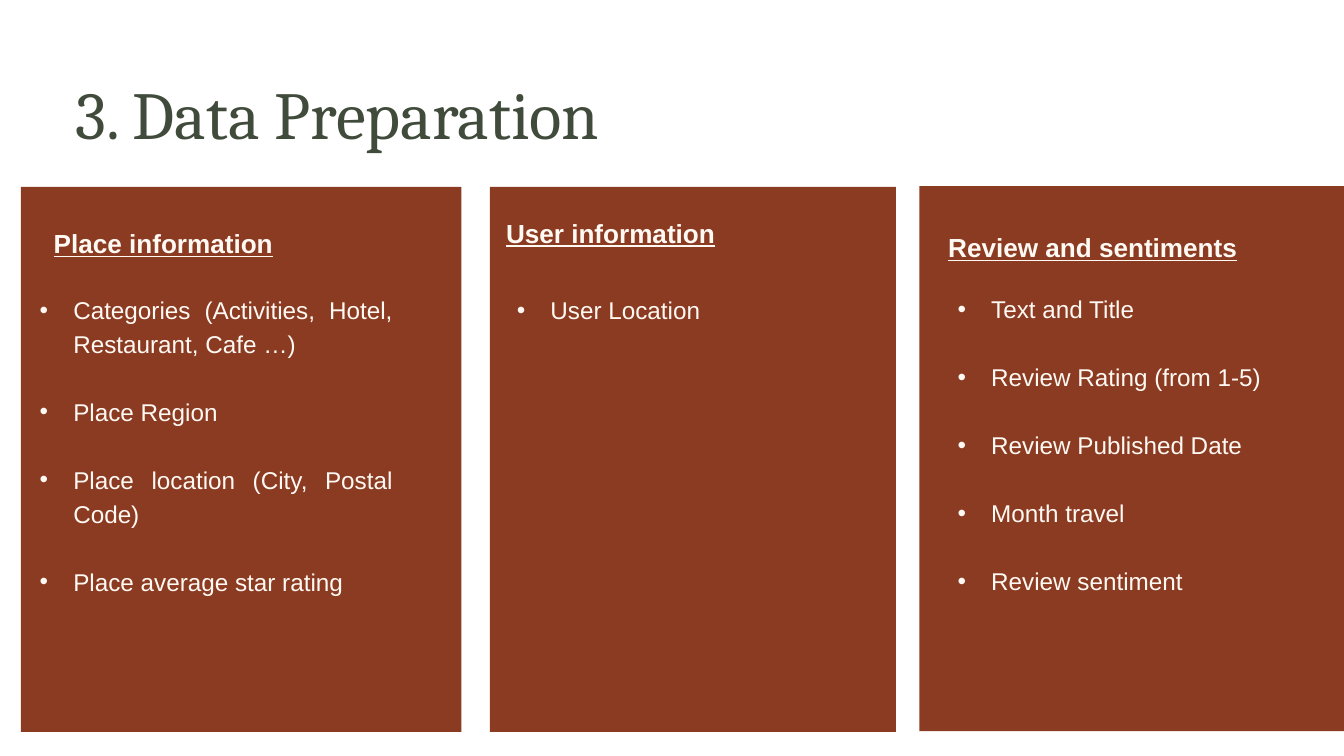
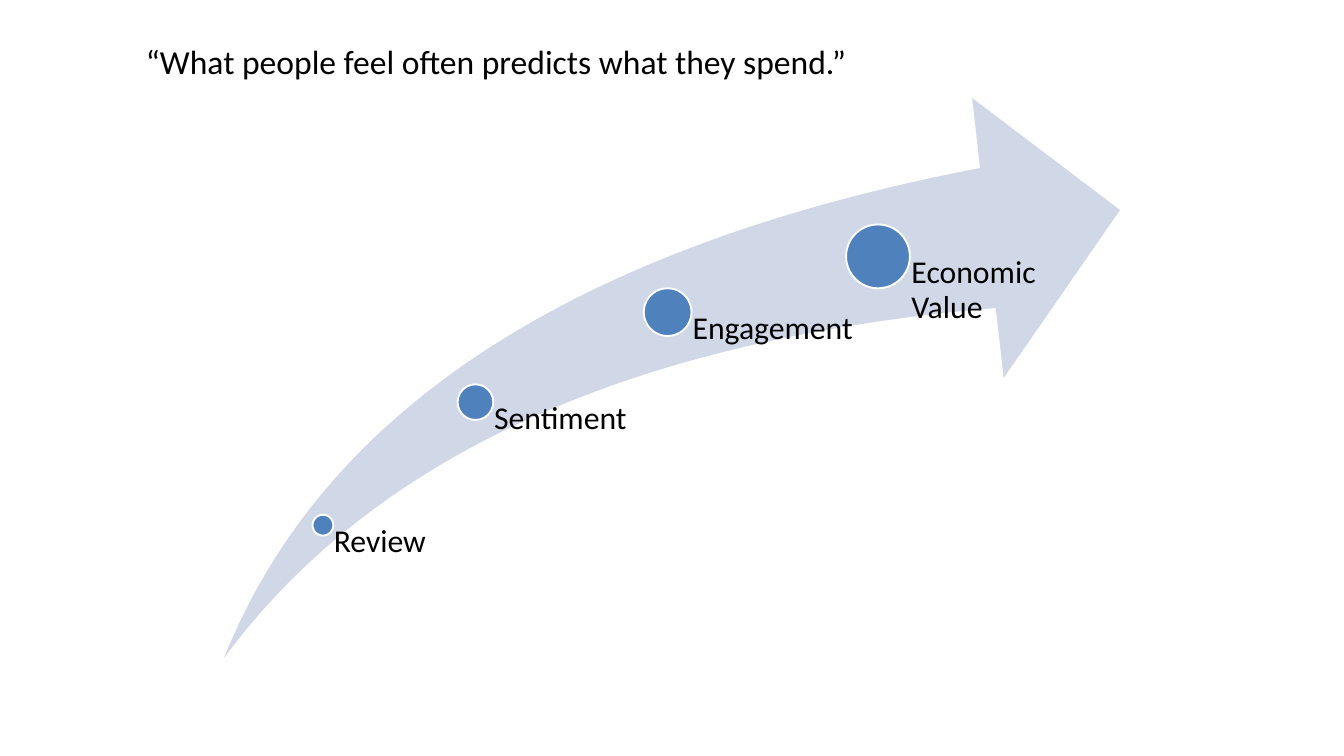
from lxml import etree
from pptx import Presentation
from pptx.dml.color import RGBColor
from pptx.enum.shapes import MSO_SHAPE
from pptx.enum.text import MSO_ANCHOR, MSO_AUTO_SIZE, PP_ALIGN
from pptx.oxml.ns import qn
from pptx.util import Pt

RECT, OVAL, SWOOSH = MSO_SHAPE.RECTANGLE, MSO_SHAPE.OVAL, MSO_SHAPE.SWOOSH_ARROW
LEFT, JUSTIFY = PP_ALIGN.LEFT, PP_ALIGN.JUSTIFY
TOP, NO_FIT = MSO_ANCHOR.TOP, MSO_AUTO_SIZE.NONE

RUST = RGBColor(0x8B, 0x3B, 0x22)
CREAM = RGBColor(0xFF, 0xF9, 0xF3)
OLIVE = RGBColor(0x41, 0x4B, 0x3B)
PALE_BLUE = RGBColor(0xD0, 0xD8, 0xE8)
BLUE = RGBColor(0x4F, 0x81, 0xBD)
WHITE = RGBColor(0xFF, 0xFF, 0xFF)
BLACK = RGBColor(0, 0, 0)

LAYOUT_COMPARISON, LAYOUT_TITLE_ONLY = 4, 5
NO_INSETS = (0, 0, 0, 0)
LIST_LINE = 36.4

# Boxes are (left, top, width, height) in points.
PREPARATION_TITLE = "3. Data Preparation"
COLUMNS = [
    {"panel": (22.3, 200.2, 472, 584),
     "heading": "Place information", "heading_box": (57.6, 238.3, 401, 38.2),
     "items": ["Categories (Activities, Hotel, Restaurant, Cafe …)", "Place Region",
               "Place location (City, Postal Code)", "Place average star rating"],
     "list_box": (42.5, 311, 378.7, 399)},
    {"panel": (525, 200.2, 435, 584),
     "heading": "User information", "heading_box": (542.2, 226.8, 401, 38.2),
     "items": ["User Location"],
     "list_box": (553.7, 311, 378.7, 71.3)},
    {"panel": (985, 199.4, 455, 584),
     "heading": "Review and sentiments", "heading_box": (1016, 242.6, 401, 38.2),
     "items": ["Text and Title", "Review Rating (from 1-5)", "Review Published Date",
               "Month travel", "Review sentiment"],
     "list_box": (1026, 310.3, 364.3, 362)},
]

QUOTE = "“What people feel often predicts what they spend.”"
ARROW_BOX = (240, 105, 960, 600)
# label, centre x, centre y, dot diameter, label width
STAGES = [
    ("Review", 346, 562.7, 22.3, 164),
    ("Sentiment", 509.4, 430.9, 38.2, 201.6),
    ("Engagement", 715.3, 334.4, 51.1, 201.6),
    ("Economic Value", 940.7, 274.7, 68.4, 201.6),
]
LABEL_INSET = 0.525  # share of the dot's diameter


def place(s, box):
    s.left, s.top, s.width, s.height = map(Pt, box)


def write(s, paragraphs, font, size, color, bold=False, underline=False, align=LEFT,
          insets=NO_INSETS, line=1.0, gap=0, bullet_indent=0):
    """Fill a shape with paragraphs; gap is the space between them."""
    tf = s.text_frame
    tf.word_wrap, tf.auto_size, tf.vertical_anchor = True, NO_FIT, TOP
    tf.margin_left, tf.margin_top, tf.margin_right, tf.margin_bottom = map(Pt, insets)
    for i, text in enumerate(paragraphs):
        p = tf.paragraphs[0] if i == 0 else tf.add_paragraph()
        if bullet_indent:
            pPr = p._p.get_or_add_pPr()
            pPr.set("marL", str(Pt(bullet_indent)))
            pPr.set("indent", str(-Pt(bullet_indent)))
            etree.SubElement(pPr, qn("a:buFont")).set("typeface", "Arial")
            etree.SubElement(pPr, qn("a:buChar")).set("char", "•")
        p.alignment, p.line_spacing = align, line
        p.space_before, p.space_after = Pt(gap if i else 0), Pt(0)
        r = p.add_run()
        r.text = text
        r.font.name, r.font.size, r.font.color.rgb = font, Pt(size), color
        r.font.bold, r.font.underline = bold, underline


def add_text(slide, box, paragraphs, **style):
    write(slide.shapes.add_textbox(*map(Pt, box)), paragraphs, **style)


def fill_placeholder(s, box, paragraphs, **style):
    place(s, box)
    write(s, paragraphs, **style)


def add_filled(slide, kind, box, fill, outline=None):
    s = slide.shapes.add_shape(kind, *map(Pt, box))
    s.shadow.inherit = False
    s.fill.solid()
    s.fill.fore_color.rgb = fill
    if outline is None:
        s.line.fill.background()
    else:
        s.line.color.rgb, s.line.width = outline, Pt(2)
    return s


def build_preparation(prs):
    slide = prs.slides.add_slide(prs.slide_layouts[LAYOUT_COMPARISON])
    title, *bodies = slide.placeholders
    fill_placeholder(title, (80.6, 91.4, 695.5, 75.6), [PREPARATION_TITLE],
                     font="Cambria", size=72, color=OLIVE, line=Pt(72))
    for column, body in zip(COLUMNS, bodies):
        panel = add_filled(slide, RECT, column["panel"], RUST)
        title._element.addprevious(panel._element)  # panels lie behind the text
        add_text(slide, column["heading_box"], [column["heading"]], font="Arial", size=28,
                 color=CREAM, bold=True, underline=True, line=Pt(39.2))
        fill_placeholder(body, column["list_box"], column["items"], font="Arial", size=26,
                         color=CREAM, align=JUSTIFY, line=Pt(LIST_LINE), gap=LIST_LINE,
                         bullet_indent=36)
    for spare in bodies[len(COLUMNS):]:
        spare._element.getparent().remove(spare._element)


def build_value_path(prs):
    slide = prs.slides.add_slide(prs.slide_layouts[LAYOUT_TITLE_ONLY])
    fill_placeholder(slide.shapes.title, (149, 40.3, 815, 51), [QUOTE], font="Calibri",
                     size=36, color=BLACK, insets=(7.2, 3.6, 7.2, 3.6))
    arrow = add_filled(slide, SWOOSH, ARROW_BOX, PALE_BLUE)
    arrow.adjustments[0] = arrow.adjustments[1] = 0.25
    arrow_bottom = ARROW_BOX[1] + ARROW_BOX[3]
    for label, x, y, d, width in STAGES:
        add_filled(slide, OVAL, (x - d / 2, y - d / 2, d, d), BLUE, WHITE)
        add_text(slide, (x, y, width, arrow_bottom - y), [label], font="Calibri", size=34,
                 color=BLACK, insets=(LABEL_INSET * d, 0, 0, 0), line=0.9)


def main():
    prs = Presentation()
    prs.slide_width, prs.slide_height = Pt(1440), Pt(810)
    build_preparation(prs)
    build_value_path(prs)
    prs.save("out.pptx")


if __name__ == "__main__":
    main()
